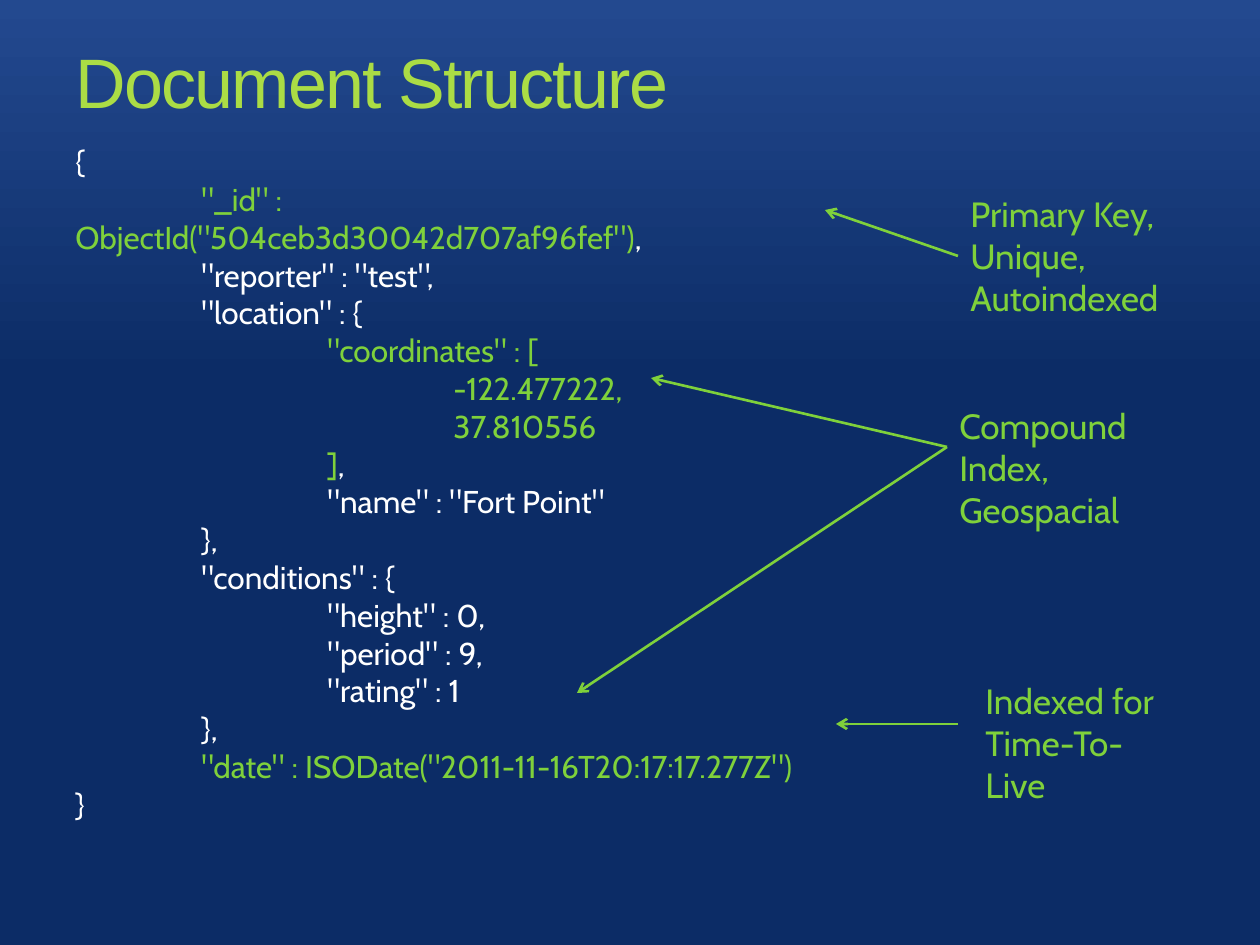
from lxml import etree
from pptx import Presentation
from pptx.dml.color import RGBColor
from pptx.enum.shapes import MSO_CONNECTOR
from pptx.enum.text import MSO_ANCHOR, MSO_AUTO_SIZE, PP_ALIGN
from pptx.oxml.ns import qn
from pptx.util import Pt

STRAIGHT = MSO_CONNECTOR.STRAIGHT
TOP = MSO_ANCHOR.TOP
LEFT = PP_ALIGN.LEFT
GROW = MSO_AUTO_SIZE.SHAPE_TO_FIT_TEXT

WHITE = RGBColor(0xFF, 0xFF, 0xFF)
GREEN = RGBColor(0x7F, 0xD1, 0x3B)
LIME = RGBColor(0xAB, 0xDC, 0x45)
NAVY = RGBColor(0x0C, 0x2C, 0x66)
BLUE = RGBColor(0x23, 0x49, 0x8F)

EMU_PER_PX = 914400 / 126
TAB = 126


def px(*lengths):
    return [round(n * EMU_PER_PX) for n in lengths]


def add_run(p, text, size=18, color=WHITE, font="Cabin", spacing=None):
    r = p.add_run()
    r.text = text
    r.font.size = Pt(size)
    r.font.name = font
    r.font.color.rgb = color
    if spacing is not None:
        r.font._element.set("spc", str(spacing))


class Deck:
    def __init__(self, width, height):
        self.prs = Presentation()
        self.prs.slide_width, self.prs.slide_height = px(width, height)
        self.s = self.prs.slides.add_slide(self.prs.slide_layouts[5])

    def background(self, lower, upper, hold):
        fill = self.s.background.fill
        fill.gradient()
        fill.gradient_angle = 90
        for stop, color, position in zip(fill.gradient_stops, (lower, upper), (hold, 1)):
            stop.color.rgb = color
            stop.position = position

    def title(self, text, *box):
        sp = self.s.shapes.title
        sp.left, sp.top, sp.width, sp.height = px(*box)
        tf = sp.text_frame
        tf.vertical_anchor = TOP
        p = tf.paragraphs[0]
        p.alignment = LEFT
        add_run(p, text, size=40, color=LIME, font="Arial", spacing=-100)

    def text(self, lines, *box, size=18):
        """Each line is a list of (text, color) pieces."""
        tf = self.s.shapes.add_textbox(*px(*box)).text_frame
        tf.word_wrap = True
        tf.auto_size = GROW
        for i, pieces in enumerate(lines):
            p = tf.add_paragraph() if i else tf.paragraphs[0]
            p._p.get_or_add_pPr().set("defTabSz", str(px(TAB)[0]))
            for text, color in pieces:
                add_run(p, text, size=size, color=color)

    def label(self, lines, *box):
        self.text([[(line, GREEN)] for line in lines], *box, size=20)

    def arrow(self, *ends):
        line = self.s.shapes.add_connector(STRAIGHT, *px(*ends))
        line.line.color.rgb = GREEN
        line.line.width = Pt(1.5)
        etree.SubElement(line.line._get_or_add_ln(), qn("a:tailEnd"), type="arrow")
        etree.SubElement(line._element.spPr, qn("a:effectLst"))


CODE = [
    [("{", WHITE)],
    [("\t\"_id\" : ObjectId(\"504ceb3d30042d707af96fef\")", GREEN), (",", WHITE)],
    [("\t\"reporter\" : \"test\",", WHITE)],
    [("\t\"location\" : {", WHITE)],
    [("\t\t\"coordinates\" : [", GREEN)],
    [("\t\t\t-122.477222,", GREEN)],
    [("\t\t\t37.810556", GREEN)],
    [("\t\t]", GREEN), (",", WHITE)],
    [("\t\t\"name\" : \"Fort Point\"", WHITE)],
    [("\t},", WHITE)],
    [("\t\"conditions\" : {", WHITE)],
    [("\t\t\"height\" : 0,", WHITE)],
    [("\t\t\"period\" : 9,", WHITE)],
    [("\t\t\"rating\" : 1", WHITE)],
    [("\t},", WHITE)],
    [("\t\"date\" : ISODate(\"2011-11-16T20:17:17.277Z\")", GREEN)],
    [("}", WHITE)],
]


def main():
    deck = Deck(1260, 945)
    deck.background(NAVY, BLUE, hold=0.6)
    deck.title("Document Structure", 63, 32, 1134, 126)

    # Document listing
    deck.text(CODE, 63, 136, 762, 662)

    # Primary key
    deck.label(["Primary Key,", "Unique,", "Autoindexed"], 958, 186, 220, 140)
    deck.arrow(958, 256, 825, 210)

    # Compound index, pointing at coordinates and conditions
    deck.label(["Compound Index,", "Geospacial"], 947, 398, 276, 97)
    for x, y in [(651, 378), (577, 693)]:
        deck.arrow(947, 447, x, y)

    # Expiry index
    deck.label(["Indexed for", "Time-To-Live"], 973, 673, 218, 97)
    deck.arrow(958, 724, 836, 724)

    deck.prs.save("out.pptx")


if __name__ == "__main__":
    main()
